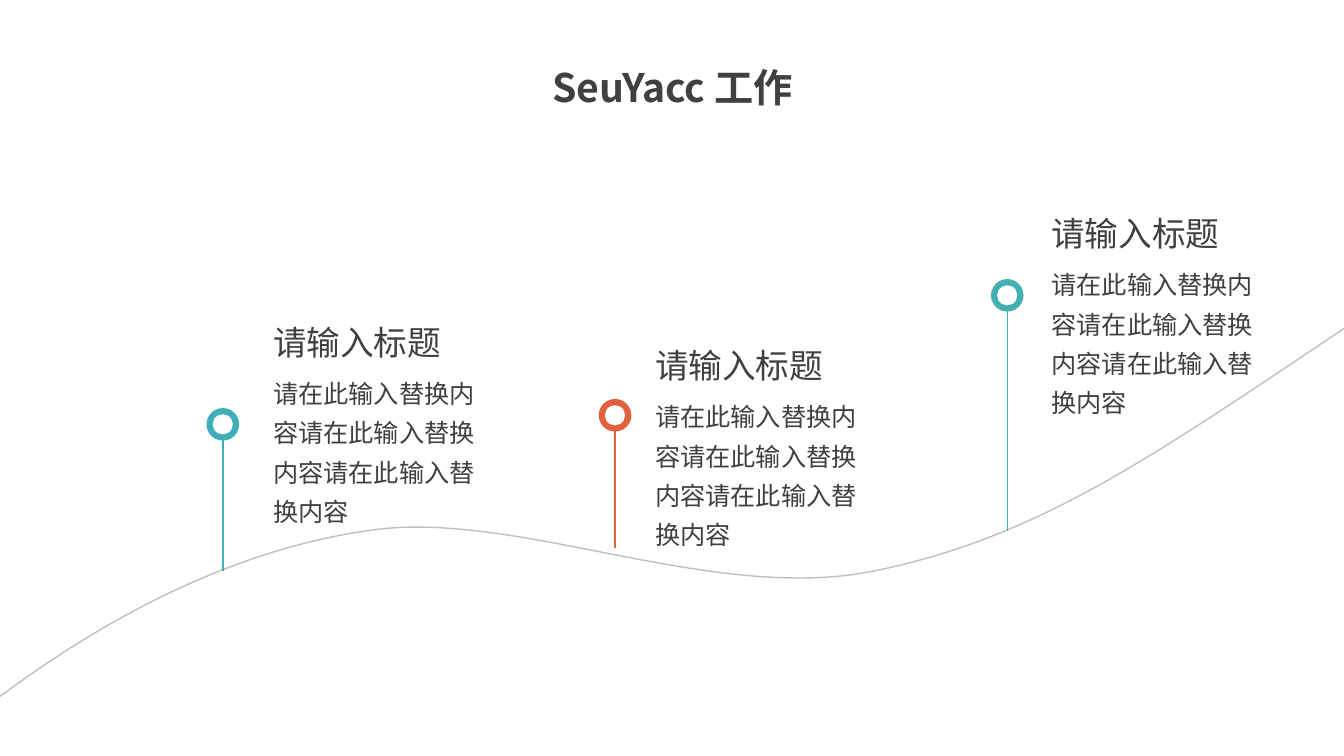
from lxml.etree import SubElement
from pptx import Presentation
from pptx.dml.color import RGBColor
from pptx.enum.shapes import MSO_CONNECTOR as CONN, MSO_SHAPE as SHAPE
from pptx.enum.text import MSO_ANCHOR as ANCHOR, MSO_AUTO_SIZE as FIT, PP_ALIGN as ALIGN
from pptx.oxml.ns import qn
from pptx.util import Inches, Pt

TEAL = RGBColor(0x3E, 0xAE, 0xB7)
GREEN = RGBColor(0x55, 0xB2, 0xA5)
ORANGE = RGBColor(0xE3, 0x60, 0x3F)
GRAY = RGBColor(0xBF, 0xBF, 0xBF)
DARK = RGBColor(0x40, 0x40, 0x40)
WHITE = RGBColor(0xFF, 0xFF, 0xFF)
FONT = "Noto Sans CJK SC"

TITLE = "SeuYacc 工作"
HEADING = "请输入标题"
BODY = "请在此输入替换内容" * 3
PINS = [
    {"center": (2.21, 4.21), "foot": 5.66, "text": (2.61, 3.14), "color": TEAL, "edge": TEAL},
    {"center": (6.1, 4.12), "foot": 5.44, "text": (6.4, 3.37), "color": ORANGE, "edge": ORANGE},
    {"center": (9.99, 2.93), "foot": 5.27, "text": (10.33, 2.06), "color": TEAL, "edge": GREEN},
]
CURVE = [
    (0, 6.91),
    (0.94, 6.21), (2.23, 5.46), (3.68, 5.26),
    (5.13, 5.05), (7.08, 6), (8.69, 5.66),
    (10.3, 5.33), (11.43, 4.53), (13.33, 3.26),
]
RING, HOLE = 0.31, 0.2
BODY_DROP = 0.475
HEADING_FORMAT = {"size": Pt(24), "bold": False}
BODY_FORMAT = {"size": Pt(18), "bold": False}
TITLE_FORMAT = {"size": Pt(28), "bold": True}


def write(shape, text, fmt, align=ALIGN.LEFT, spacing=1.0):
    tf = shape.text_frame
    for name, value in {"word_wrap": True, "auto_size": FIT.SHAPE_TO_FIT_TEXT,
                        "vertical_anchor": ANCHOR.TOP}.items():
        setattr(tf, name, value)
    p = tf.paragraphs[0]
    p.alignment, p.line_spacing = align, spacing
    r = p.add_run()
    r.text = text
    for name, value in {"name": FONT, **fmt}.items():
        setattr(r.font, name, value)
    r.font.color.rgb = DARK
    SubElement(r._r.get_or_add_rPr(), qn("a:ea"), typeface=FONT)


def add_text(shapes, box, *args, **kwargs):
    write(shapes.add_textbox(*map(Inches, box)), *args, **kwargs)


def add_circle(shapes, x, y, size, fill, edge=None):
    sp = shapes.add_shape(SHAPE.OVAL, Inches(x - size / 2), Inches(y - size / 2),
                          Inches(size), Inches(size))
    sp.shadow.inherit = False
    sp.fill.solid()
    sp.fill.fore_color.rgb = fill
    if edge is None:
        sp.line.fill.background()
    else:
        sp.line.color.rgb, sp.line.width = edge, Pt(1)


def add_curve(shapes, points):
    start, *rest = [(Inches(x), Inches(y)) for x, y in points]
    builder = shapes.build_freeform(*start)
    builder.add_line_segments(rest, close=False)
    sp = builder.convert_to_shape()
    sp.shadow.inherit = False
    sp.fill.background()
    sp.line.color.rgb, sp.line.width = GRAY, Pt(1)
    segments = list(sp._element.iter(qn("a:lnTo")))
    outline = segments[0].getparent()
    for i in range(0, len(segments), 3):
        bezier = SubElement(outline, qn("a:cubicBezTo"))
        for segment in segments[i:i + 3]:
            bezier.append(segment[0])
            outline.remove(segment)


def add_pin(shapes, center, foot, text, color, edge):
    pin = shapes.add_group_shape().shapes
    x, y = center
    stem = pin.add_connector(CONN.STRAIGHT, Inches(x), Inches(foot), Inches(x), Inches(y + 0.14))
    stem.line.color.rgb, stem.line.width = color, Pt(1)
    SubElement(stem._element.spPr, qn("a:effectLst"))
    add_circle(pin, x, y, RING, color, edge)
    add_circle(pin, x, y, HOLE, WHITE)
    left, top = text
    add_text(pin, (left, top, 1.9, 0.5), HEADING, HEADING_FORMAT)
    add_text(pin, (left, top + BODY_DROP, 2.23, 1.68), BODY, BODY_FORMAT, spacing=1.3)


def main():
    prs = Presentation()
    prs.slide_width, prs.slide_height = Inches(13.33), Inches(7.5)
    s = prs.slides.add_slide(prs.slide_layouts[5])
    add_curve(s.shapes, CURVE)
    for pin in PINS:
        add_pin(s.shapes, **pin)
    title = s.shapes.title
    for name, value in {"left": 5.15, "top": 0.58, "width": 3.04, "height": 0.57}.items():
        setattr(title, name, Inches(value))
    write(title, TITLE, TITLE_FORMAT, align=ALIGN.CENTER)
    prs.save("out.pptx")


if __name__ == "__main__":
    main()
